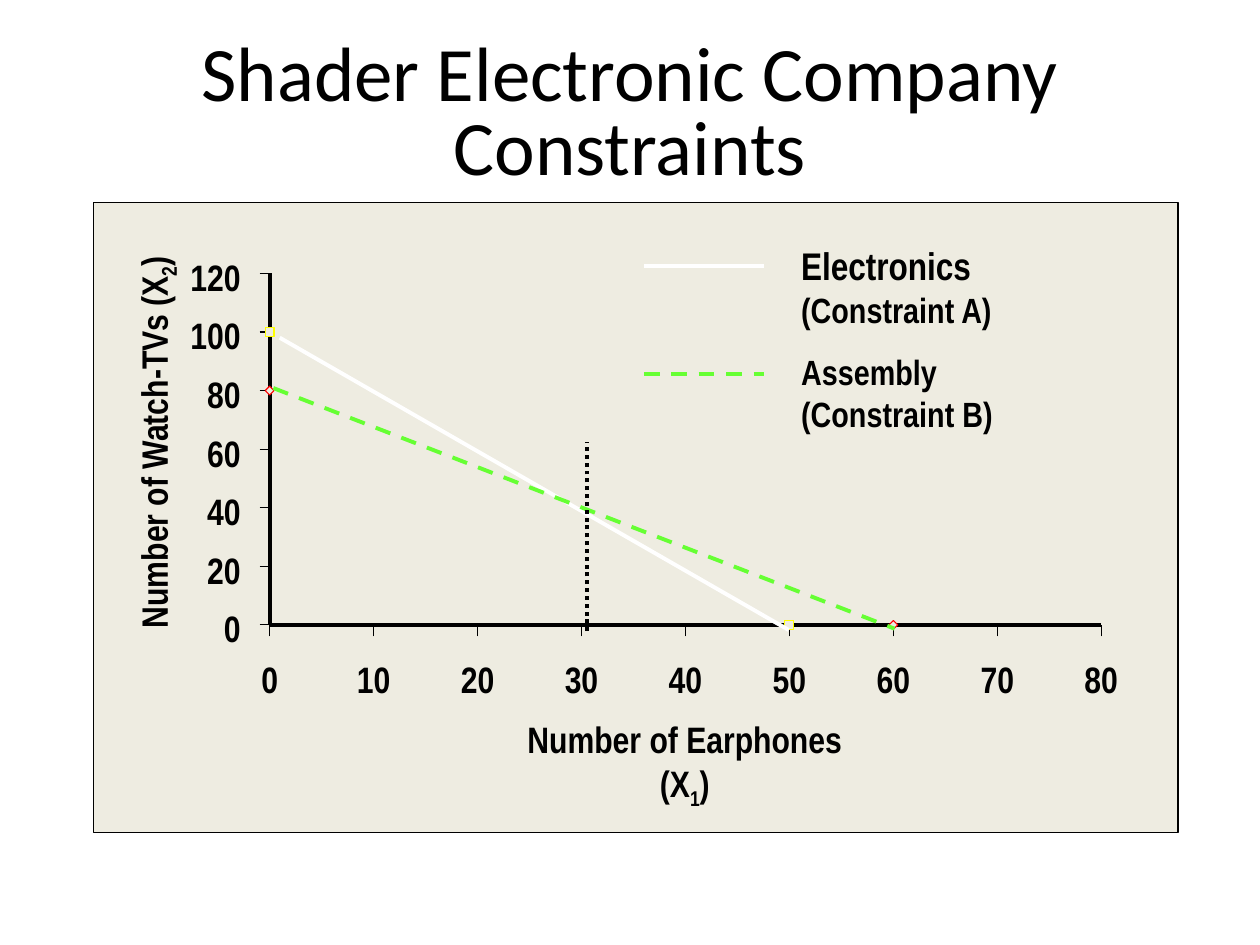
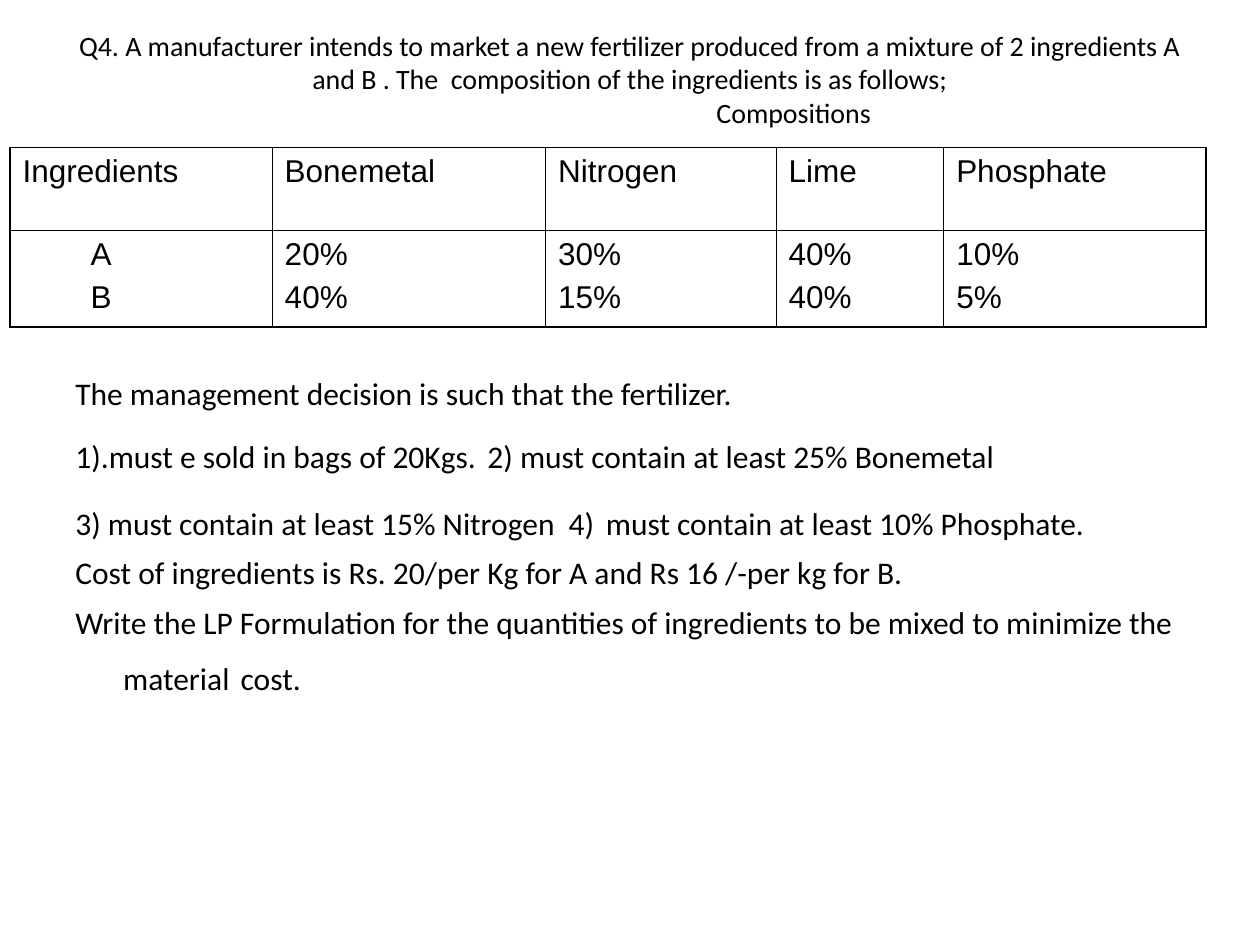
from dataclasses import dataclass

import pptx
import pptx.util
import pptx.dml.color
import pptx.enum.dml
import pptx.enum.shapes
import pptx.enum.text
import pptx.oxml.ns
from lxml import etree

Inches, Pt = pptx.util.Inches, pptx.util.Pt
SHAPE = pptx.enum.shapes.MSO_SHAPE
DASH = pptx.enum.dml.MSO_LINE
ALIGN = pptx.enum.text.PP_ALIGN
ANCHOR = pptx.enum.text.MSO_ANCHOR
qn = pptx.oxml.ns.qn


# Theme
@dataclass(frozen=True)
class Theme:
    ink: str = "000000"
    panel: str = "EEECE1"
    electronics: str = "FFFFFF"
    assembly: str = "66FF33"
    square: str = "FFFF00"
    diamond: str = "FF0000"
    body_font: str = "Calibri"
    chart_font: str = "Arial Narrow"
    table_font: str = "Arial"
    title: int = 44
    question: int = 16
    body: int = 18
    gap: int = 28
    axis: int = 21
    legend: int = 20
    legend_head: int = 22
    thin: float = 0.62
    thick: float = 2.25
    grid: float = 0.45
    frame: float = 1.08


T = Theme()

# Content: constraint graph
GRAPH_TITLE = "Shader Electronic Company Constraints"
X_TITLE = ("Number of Earphones (X", "1", ")")
Y_TITLE = ("Number of Watch-TVs (X", "2", ")")
X_TICKS = range(0, 81, 10)
Y_TICKS = range(0, 121, 20)
MARKERS = [  # shape, line colour, points
    (SHAPE.DIAMOND, T.diamond, [(0, 80), (60, 0)]),
    (SHAPE.RECTANGLE, T.square, [(0, 100), (50, 0)]),
]
CONSTRAINTS = [  # name, note, name size, colour, dash, line ends, legend line y, legend text y
    ("Electronics", "(Constraint A)", T.legend_head, T.electronics, None,
     (2.22, 2.68, 6.26, 5), 2.11, 1.87),
    ("Assembly", "(Constraint B)", T.legend, T.assembly, DASH.DASH,
     (2.17, 3.08, 7.1, 4.99), 2.97, 2.73),
]
CROSSING = (4.66, 5.01, 4.66, 3.51)

# Content: fertilizer question
QUESTION = ("Q4. A manufacturer intends to market a new fertilizer produced from a mixture "
            "of 2 ingredients A and B . The  composition of the ingredients is as follows;")
TABLE_CAPTION = "Compositions"
COMPOSITION = [
    [["Ingredients"], ["Bonemetal"], ["Nitrogen"], ["Lime"], ["Phosphate"]],
    [["A", "B"], ["20%", "40%"], ["30%", "15%"], ["40%", "40%"], ["10%", "5%"]],
]
COL_WIDTHS = [2.08, 2.17, 1.83, 1.33, 2.08]
ROW_HEIGHTS = [0.66, 0.76]
DECISIONS = [  # space before, pieces joined by a large space
    (0, ["The management decision is such that the fertilizer."]),
    (4.5, ["1).must e sold in bags of 20Kgs.", "2) must contain at least 25% Bonemetal"]),
    (4.5, ["3) must contain at least 15% Nitrogen  4)", "must contain at least 10% Phosphate."]),
    (4.5, ["Cost of ingredients is Rs. 20/per Kg for A and Rs 16 /-per kg for B."]),
    (7, ["Write the LP Formulation for the quantities of ingredients to be mixed "
         "to minimize the material", "cost."]),
]

# Axis geometry
ORIGIN_X, ORIGIN_Y = 2.14, 4.96
AXIS_W, AXIS_H = 6.6, 2.79


def x_at(value):
    return ORIGIN_X + AXIS_W * value / X_TICKS[-1]


def y_at(value):
    return ORIGIN_Y - AXIS_H * value / Y_TICKS[-1]


# Helpers
def rgb(color):
    return pptx.dml.color.RGBColor.from_string(color)


def style(p, size, font, bold=False, align=ALIGN.LEFT):
    p.alignment = align
    p.font.size, p.font.name, p.font.bold = Pt(size), font, bold
    p.font.color.rgb = rgb(T.ink)


def add_text(slide, x, y, w, h, margins=(0.1, 0.05), anchor=ANCHOR.TOP, wrap=True):
    sp = slide.shapes.add_textbox(Inches(x), Inches(y), Inches(w), Inches(h))
    tf = sp.text_frame
    tf.word_wrap, tf.vertical_anchor = wrap, anchor
    tf.margin_left = tf.margin_right = Inches(margins[0])
    tf.margin_top = tf.margin_bottom = Inches(margins[1])
    return sp


def add_title(slide, y, text, size):
    tf = add_text(slide, 0.5, y, 9, 1.25, anchor=ANCHOR.MIDDLE).text_frame
    p = tf.paragraphs[0]
    p.text = text
    style(p, size, T.body_font, align=ALIGN.CENTER)
    return tf


def add_line(slide, ends, color, width, dash=None):
    x1, y1, x2, y2 = map(Inches, ends)
    line = slide.shapes.add_connector(
        pptx.enum.shapes.MSO_CONNECTOR.STRAIGHT, x1, y1, x2, y2)
    line.line.color.rgb, line.line.width = rgb(color), Pt(width)
    if dash:
        line.line.dash_style = dash
    etree.SubElement(line._element.spPr, qn("a:effectLst"))


def add_box(slide, kind, x, y, w, h, line_color, width):
    sp = slide.shapes.add_shape(kind, Inches(x), Inches(y), Inches(w), Inches(h))
    sp.shadow.inherit = False
    sp.fill.solid()
    sp.fill.fore_color.rgb = rgb(T.panel)
    sp.line.color.rgb, sp.line.width = rgb(line_color), Pt(width)


def add_axis_text(slide, x, y, w, h, text, align):
    sp = add_text(slide, x, y, w, h, margins=(0, 0), wrap=False)
    p = sp.text_frame.paragraphs[0]
    p.text = text
    style(p, T.axis, T.chart_font, True, align)
    return sp


def add_axis_title(slide, x, y, w, pieces, rotation=0):
    sp = add_axis_text(slide, x, y, w, 0.4, "", ALIGN.CENTER)
    sp.rotation = rotation
    for i, piece in enumerate(pieces):
        r = sp.text_frame.paragraphs[0].add_run()
        r.text = piece
        if i == 1:
            r.font._element.set("baseline", "-25000")


def set_borders(cell, widths):
    tc_pr = cell._tc.get_or_add_tcPr()
    for i, (side, width) in enumerate(zip("LRTB", widths)):
        ln = etree.Element(qn(f"a:ln{side}"), w=str(int(Pt(width))))
        fill = etree.SubElement(ln, qn("a:solidFill"))
        etree.SubElement(fill, qn("a:srgbClr"), val=T.ink)
        tc_pr.insert(i, ln)


# Slides
def build_graph(slide):
    tf = add_title(slide, 0.3, GRAPH_TITLE, T.title)
    tf.paragraphs[0].line_spacing = 0.8
    add_box(slide, SHAPE.RECTANGLE, 0.74, 1.61, 8.61, 5, T.ink, 0.75)

    # Axes, ticks and labels
    right, top = ORIGIN_X + AXIS_W, ORIGIN_Y - AXIS_H
    add_line(slide, (ORIGIN_X, top, ORIGIN_X, ORIGIN_Y), T.ink, T.thick)
    add_line(slide, (ORIGIN_X, ORIGIN_Y, right, ORIGIN_Y), T.ink, T.thick)
    for value in Y_TICKS:
        y = y_at(value)
        add_line(slide, (ORIGIN_X - 0.08, y, ORIGIN_X, y), T.ink, T.thin)
        add_axis_text(slide, 1.5, y - 0.15, 0.41, 0.35, str(value), ALIGN.RIGHT)
    for value in X_TICKS:
        x = x_at(value)
        add_line(slide, (x, ORIGIN_Y + 0.09, x, ORIGIN_Y), T.ink, T.thin)
        add_axis_text(slide, x - 0.14, 5.21, 0.28, 0.35, str(value), ALIGN.CENTER)
    add_axis_title(slide, 3.98, 5.69, 2.91, X_TITLE)
    add_axis_title(slide, -0.24, 3.31, 2.96, Y_TITLE, rotation=270)

    # Intercept markers
    size = 0.07
    for kind, color, points in MARKERS:
        for vx, vy in points:
            add_box(slide, kind, x_at(vx) - size / 2, y_at(vy) - size / 2,
                    size, size, color, T.thin)

    # Constraint lines and legend
    for name, note, name_size, color, dash, ends, line_y, text_y in CONSTRAINTS:
        add_line(slide, ends, color, T.thick, dash)
        add_line(slide, (5.11, line_y, 6.06, line_y), color, T.thick, dash)
        tf = add_text(slide, 6.26, text_y, 1.72, 0.78).text_frame
        tf.text = f"{name}\n{note}"
        for p, text_size in zip(tf.paragraphs, (name_size, T.legend)):
            style(p, text_size, T.chart_font, True)
    add_line(slide, CROSSING, T.ink, T.thick, DASH.ROUND_DOT)


def build_question(slide):
    tf = add_title(slide, 0, QUESTION, T.question)
    p = tf.add_paragraph()
    p.text = TABLE_CAPTION
    p._p.get_or_add_pPr().set("marL", str(Inches(2.6)))
    style(p, T.question, T.body_font, align=ALIGN.CENTER)

    # Decision text
    tf = add_text(slide, 0.5, 2.92, 9.17, 3).text_frame
    for i, (before, pieces) in enumerate(DECISIONS):
        p = tf.add_paragraph() if i else tf.paragraphs[0]
        p_pr = p._p.get_or_add_pPr()
        p_pr.set("marL", str(Inches(0.38)))
        p_pr.set("indent", str(-Inches(0.38)))
        p.space_before = Pt(before)
        style(p, T.body, T.body_font)
        for j, piece in enumerate(pieces):
            if j:
                r = p.add_run()
                r.text, r.font.size = " ", Pt(T.gap)
            p.add_run().text = piece

    # Composition table
    frame = slide.shapes.add_table(
        len(ROW_HEIGHTS), len(COL_WIDTHS), Inches(0.08), Inches(1.17),
        Inches(sum(COL_WIDTHS)), Inches(sum(ROW_HEIGHTS)))
    table = frame.table
    table.first_row = table.horz_banding = False
    for col, width in zip(table.columns, COL_WIDTHS):
        col.width = Inches(width)
    last_row, last_col = len(ROW_HEIGHTS) - 1, len(COL_WIDTHS) - 1
    for i, row in enumerate(COMPOSITION):
        table.rows[i].height = Inches(ROW_HEIGHTS[i])
        for j, lines in enumerate(row):
            cell = table.cell(i, j)
            cell.fill.background()
            cell.text = "\n".join(lines)
            for k, p in enumerate(cell.text_frame.paragraphs):
                if i and not j:
                    p._p.get_or_add_pPr().set("marL", str(Inches(0.54)))
                p.space_before = Pt(4.5 if k else 0)
                style(p, T.body, T.table_font)
            outer = (j == 0, j == last_col, i == 0, i == last_row)
            set_borders(cell, [T.frame if edge else T.grid for edge in outer])


def main():
    prs = pptx.Presentation()
    prs.slide_width, prs.slide_height = Inches(10), Inches(7.5)
    for build in (build_graph, build_question):
        build(prs.slides.add_slide(prs.slide_layouts[6]))
    prs.save("out.pptx")


if __name__ == "__main__":
    main()
